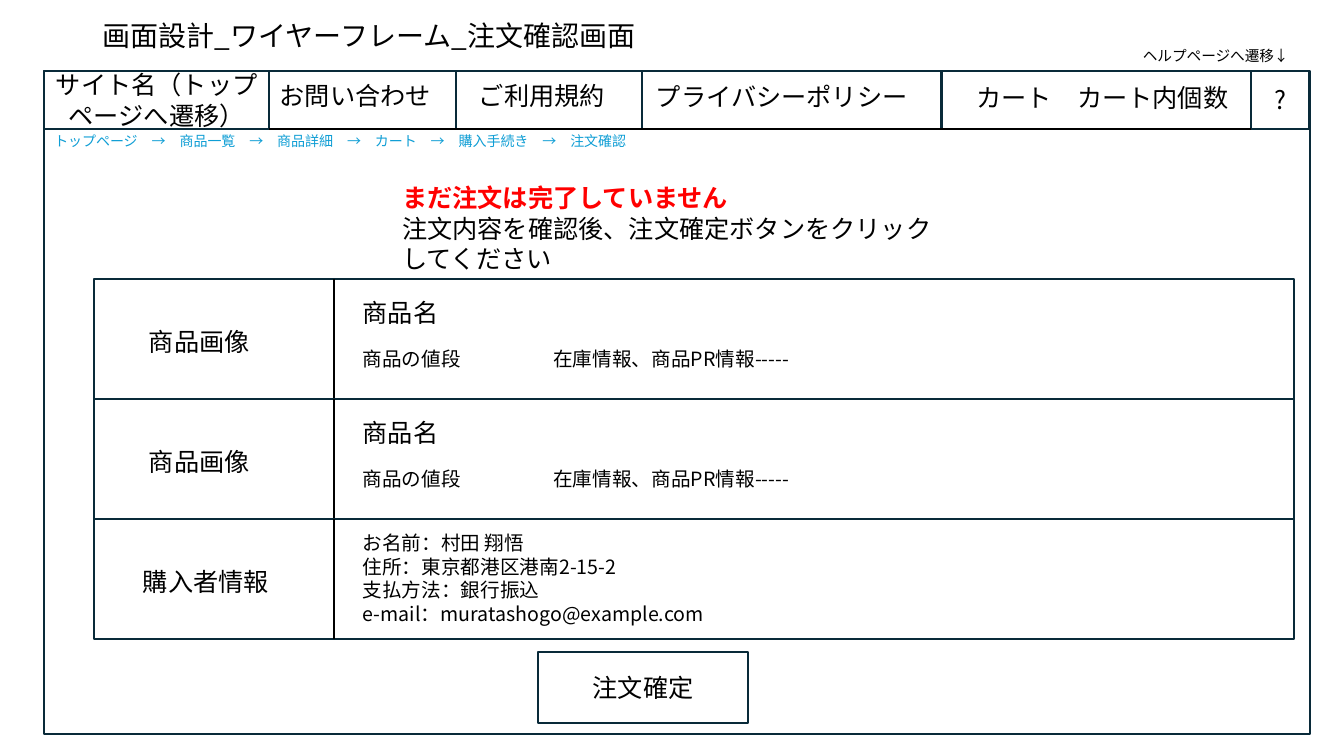
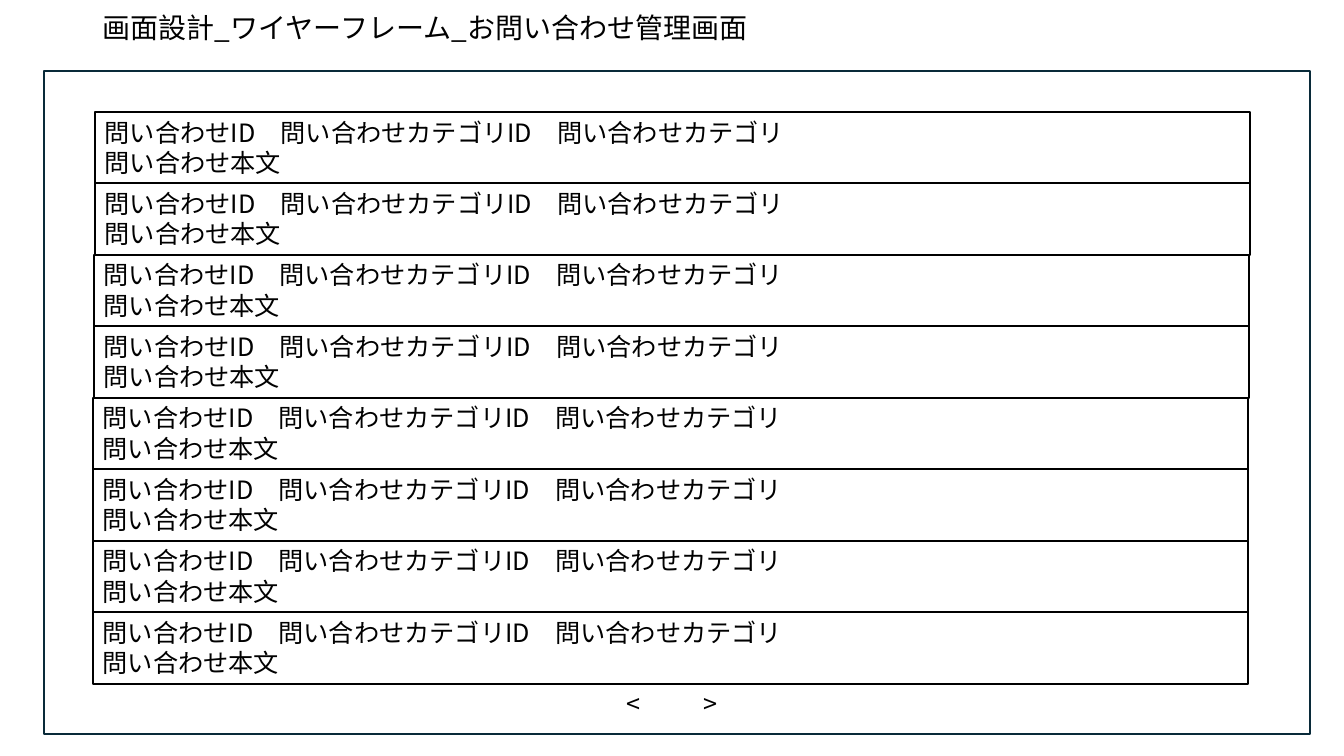
from collections import namedtuple

from lxml import etree
from pptx import Presentation, util as u
from pptx.dml.color import RGBColor
from pptx.enum import shapes, text
from pptx.oxml import ns

COLORS = {"ink": "000000", "frame": "092A39", "trail": "0F9ED5",
          "alert": "FF0000", "paper": "FFFFFF"}
FONT = "Noto Sans CJK JP"
SLIDE_COLS, SLIDE_ROWS = 133.33, 75
UNIT = u.Inches(0.1)

Box = namedtuple("Box", "x y w h")
FRAME = Box(4.4, 7, 125.6, 65.8)
LEFT, CENTER = text.PP_ALIGN.LEFT, text.PP_ALIGN.CENTER
TOP, MIDDLE = text.MSO_ANCHOR.TOP, text.MSO_ANCHOR.MIDDLE

MENU = [("サイト名（トップページへ遷移）", 22.3, 0, 0),
        ("お問い合わせ", 18.5, -0.7, -0.4),
        ("ご利用規約", 18.5, -0.7, -0.4),
        ("プライバシーポリシー", 29.7, -1, -0.35),
        ("カート　カート内個数", 30.7, 0.6, -0.2),
        ("?", 5.8, 0, 0)]
TRAIL = ["トップページ", "商品一覧", "商品詳細", "カート", "購入手続き", "注文確認"]
BUYER = ["お名前：村田 翔悟", "住所：東京都港区港南2-15-2", "支払方法：銀行振込",
         "e-mail：muratashogo@example.com"]
INQUIRY = ["問い合わせID　問い合わせカテゴリID　問い合わせカテゴリ", "問い合わせ本文"]


def emu(*cells):
    """Turn grid cells into slide lengths."""
    return [u.Emu(round(c * UNIT)) for c in cells]


def inside(box, x, y, w, h):
    """Return a box placed from the corner of another."""
    return Box(box.x + x, box.y + y, w, h)


def color(name):
    """Look up a palette colour."""
    return RGBColor.from_string(COLORS[name])


def write(shape, lines, size=18, ink="ink", bold=False, align=LEFT, anchor=TOP,
          spacing=1.0):
    """Fill a shape with one paragraph per line."""
    tf = shape.text_frame
    tf.word_wrap, tf.vertical_anchor = True, anchor
    for i, line in enumerate(lines):
        p = tf.paragraphs[0] if i == 0 else tf.add_paragraph()
        p.alignment, p.line_spacing = align, spacing
        r = p.add_run()
        r.text = line
        for name, value in {"name": FONT, "size": u.Pt(size), "bold": bold}.items():
            setattr(r.font, name, value)
        r.font.color.rgb = color(ink)
        ea = etree.SubElement(r.font._element, ns.qn("a:ea"))
        ea.set("typeface", FONT)


def label(s, box, lines, **style):
    """Add a text box."""
    tx = s.shapes.add_textbox(*emu(*box))
    write(tx, lines, **style)
    return tx


def panel(s, box, line="frame", fill=None):
    """Add an outlined rectangle."""
    sp = s.shapes.add_shape(shapes.MSO_SHAPE.RECTANGLE, *emu(*box))
    sp.shadow.inherit = False
    if fill:
        sp.fill.solid()
        sp.fill.fore_color.rgb = color(fill)
    else:
        sp.fill.background()
    sp.line.color.rgb = color(line)
    sp.line.width = u.Pt(1.5)
    return sp


def rule(s, x1, y1, x2, y2):
    """Add a straight line."""
    cn = s.shapes.add_connector(shapes.MSO_CONNECTOR.STRAIGHT, *emu(x1, y1, x2, y2))
    cn.line.color.rgb = color("ink")
    cn.line.width = u.Pt(1.5)
    etree.SubElement(cn._element.spPr, ns.qn("a:effectLst"))


def screen(prs, title, box):
    """Start a slide with its title and screen frame."""
    s = prs.slides.add_slide(prs.slide_layouts[6])
    label(s, box, [title], size=20, anchor=MIDDLE, spacing=0.9)
    panel(s, FRAME)
    return s


def menu_bar(s, box):
    """Draw the site menu with help note and page trail."""
    label(s, inside(box, 108, -2.8, 17.6, 2.8), ["ヘルプページへ遷移↓"], size=10.5)
    x = 0
    for name, width, dx, dy in MENU:
        cell = inside(box, x, 0, width, box.h)
        sp = panel(s, cell)
        if dx:
            label(s, inside(cell, dx, dy, width, box.h), [name],
                  align=CENTER, anchor=MIDDLE)
        else:
            write(sp, [name], align=CENTER, anchor=MIDDLE)
        x += width
    bottom = box.y + box.h
    rule(s, box.x + MENU[0][1], bottom, box.x + x - MENU[-1][1], bottom)
    label(s, inside(box, 0, box.h - 0.1, 89.2, 2.7), ["　→　".join(TRAIL)],
          size=10, ink="trail")


def order_row(s, box, heading, indent):
    """Draw one order row with its heading and divider."""
    panel(s, box)
    rule(s, box.x + 23.8, box.y, box.x + 23.8, box.y + box.h)
    label(s, inside(box, indent, 4.15, 15, 4), [heading])


def product_row(s, box):
    """Draw an order row for a product."""
    order_row(s, box, "商品画像", 4.5)
    label(s, inside(box, 25.7, 1.3, 12.9, 4), ["商品名"])
    label(s, inside(box, 25.7, 6.2, 14.6, 3.4), ["商品の値段"], size=14)
    label(s, inside(box, 44.6, 6.2, 72.7, 3.4), ["在庫情報、商品PR情報-----"], size=14)


def buyer_row(s, box):
    """Draw an order row for the buyer."""
    order_row(s, box, "購入者情報", 3.9)
    label(s, inside(box, 25.7, 0.7, 91.6, 10.4), BUYER, size=14)


def order_slide(prs):
    """Build the order confirmation screen."""
    s = screen(prs, "画面設計_ワイヤーフレーム_注文確認画面", Box(9.2, 2.3, 59.6, 2.8))
    menu_bar(s, Box(FRAME.x, FRAME.y, FRAME.w, 5.8))
    notice = Box(38.9, 17.6, 56.7, 4)
    label(s, notice, ["まだ注文は完了していません"], ink="alert", bold=True)
    label(s, inside(notice, 0, 3.05, notice.w, 7),
          ["注文内容を確認後、注文確定ボタンをクリックしてください"])
    for i, row in enumerate([product_row, product_row, buyer_row]):
        row(s, Box(9.3, 27.7 + 11.9 * i, 119.1, 11.9))
    write(panel(s, Box(53.4, 64.7, 20.8, 7)), ["注文確定"],
          align=CENTER, anchor=MIDDLE)


def inquiry_slide(prs):
    """Build the inquiry management screen."""
    s = screen(prs, "画面設計_ワイヤーフレーム_お問い合わせ管理画面",
               Box(9.2, 2.3, 68.2, 1.3))
    for i in range(8):
        box = Box(9.4 - 0.1 * min(i // 2, 2), 11.1 + 7.09 * i, 114.65, 7.09)
        write(panel(s, box, line="ink", fill="paper"), INQUIRY)
    for i, arrow in enumerate("<>"):
        label(s, Box(61.2 + 7.65 * i, 67.8, 4, 4), [arrow])


def main():
    """Build and save the deck."""
    prs = Presentation()
    prs.slide_width, prs.slide_height = emu(SLIDE_COLS, SLIDE_ROWS)
    order_slide(prs)
    inquiry_slide(prs)
    prs.save("out.pptx")


if __name__ == "__main__":
    main()
